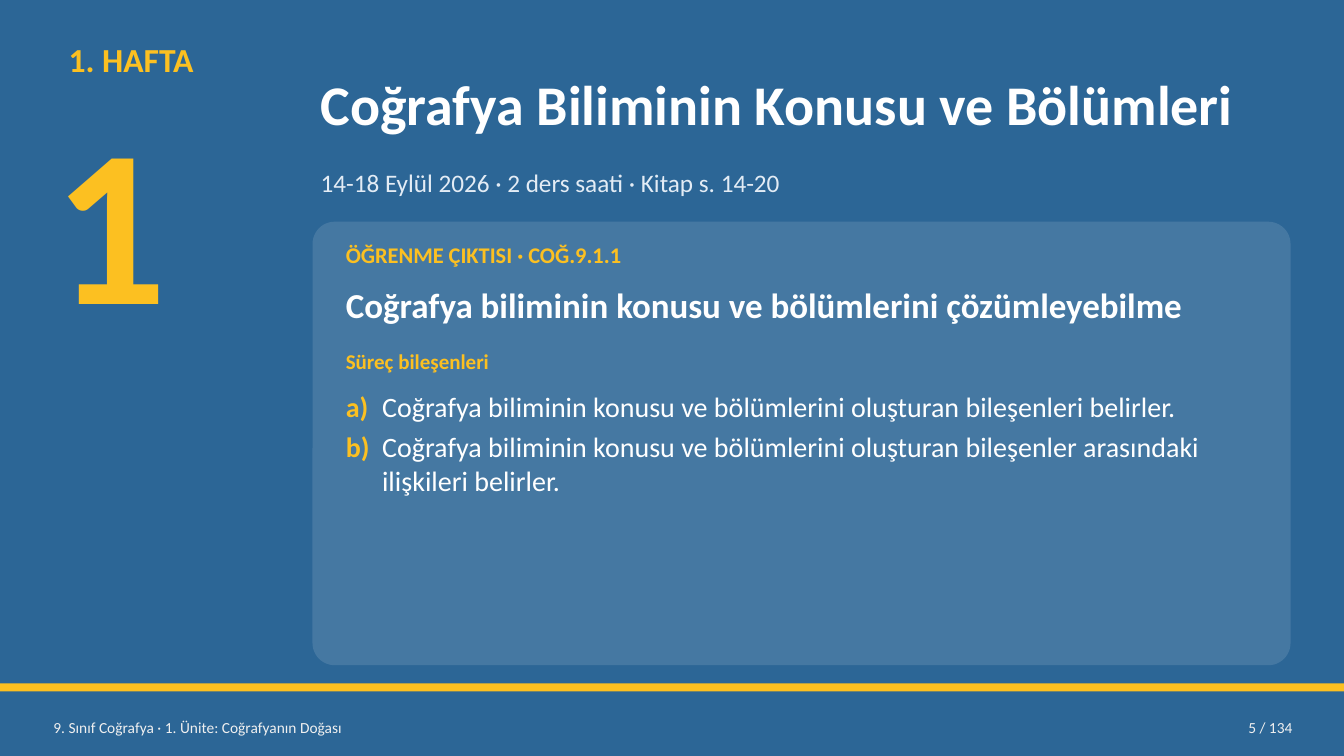
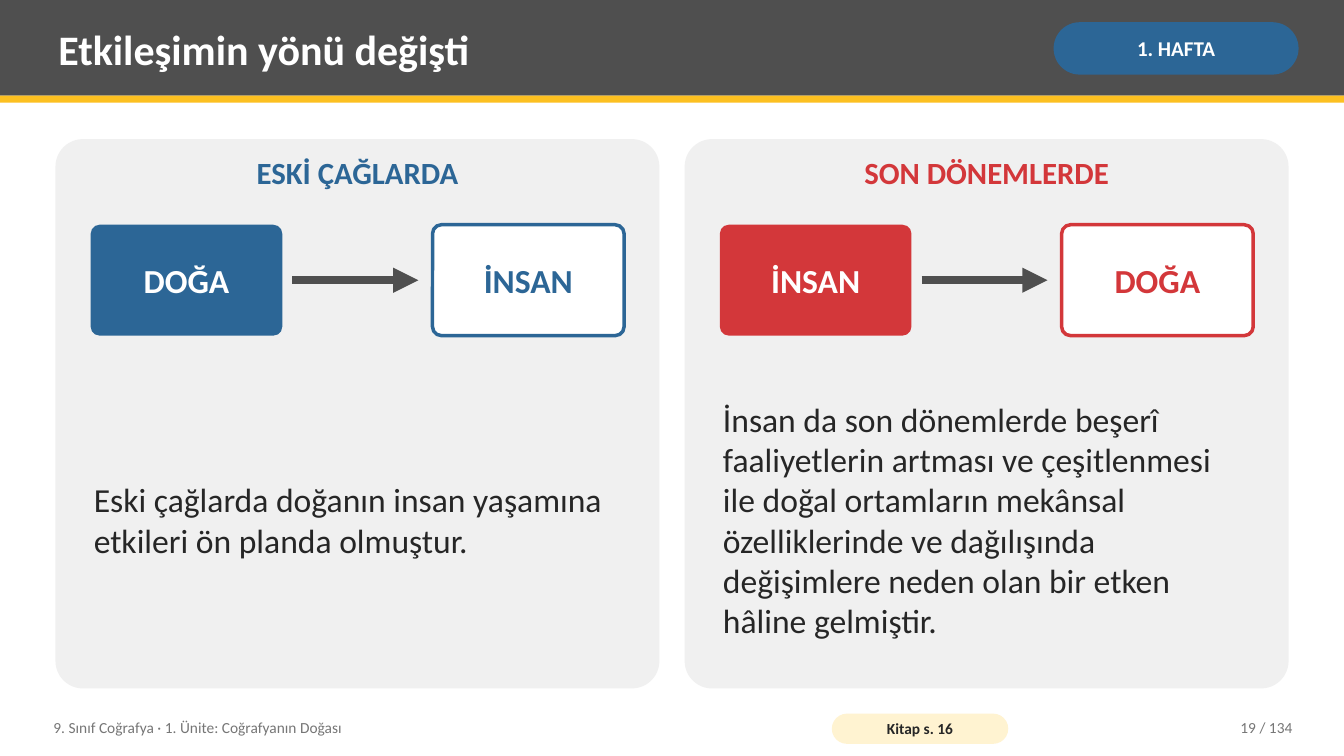
from dataclasses import dataclass
from typing import NamedTuple

from lxml.etree import SubElement
from pptx import Presentation
from pptx.dml.color import RGBColor
from pptx.enum.shapes import MSO_CONNECTOR, MSO_SHAPE
from pptx.enum.text import MSO_ANCHOR, MSO_AUTO_SIZE, PP_ALIGN
from pptx.oxml.ns import qn
from pptx.util import Inches, Pt


@dataclass(frozen=True)
class Theme:
    font: str = "Calibri"
    blue: RGBColor = RGBColor(0x2C, 0x66, 0x96)
    red: RGBColor = RGBColor(0xD3, 0x37, 0x3A)
    gold: RGBColor = RGBColor(0xFC, 0xC0, 0x21)
    cream: RGBColor = RGBColor(0xFF, 0xF3, 0xD1)
    white: RGBColor = RGBColor(0xFF, 0xFF, 0xFF)
    mist: RGBColor = RGBColor(0xE3, 0xEC, 0xF5)
    pale: RGBColor = RGBColor(0xF0, 0xF0, 0xF0)
    gray: RGBColor = RGBColor(0x76, 0x76, 0x76)
    slate: RGBColor = RGBColor(0x4F, 0x4F, 0x4F)
    ink: RGBColor = RGBColor(0x26, 0x26, 0x26)
    numeral: int = 160
    cover_title: int = 40
    title: int = 30
    outcome: int = 25
    body: int = 24
    heading: int = 22
    item: int = 20
    subtitle: int = 18
    label: int = 16
    small: int = 15
    footer: int = 11


class Box(NamedTuple):
    left: float
    top: float
    width: float
    height: float

    @property
    def right(self):
        return self.left + self.width

    def lengths(self):
        return [Inches(value) for value in self]


THEME = Theme()
PAGE = Box(0, 0, 13.33, 7.5)
PADDING = (0.08, 0.04)
UNIT = "9. Sınıf Coğrafya · 1. Ünite: Coğrafyanın Doğası"
PAGE_COUNT = 134


def prepare_frame(frame, padding, anchor):
    frame.word_wrap = True
    frame.auto_size = MSO_AUTO_SIZE.NONE
    frame.vertical_anchor = anchor
    frame.margin_left = frame.margin_right = Inches(padding[0])
    frame.margin_top = frame.margin_bottom = Inches(padding[1])


def write(frame, text, size, color, bold=False, align=PP_ALIGN.LEFT,
          anchor=MSO_ANCHOR.TOP, padding=PADDING):
    prepare_frame(frame, padding, anchor)
    para = frame.paragraphs[0]
    para.text = text
    para.alignment = align
    para.font.name = THEME.font
    para.font.size = Pt(size)
    para.font.bold = bold
    para.font.color.rgb = color


def add_text(page, box, text, size, color, **style):
    shape = page.shapes.add_textbox(*box.lengths())
    write(shape.text_frame, text, size, color, **style)


def add_block(page, box, fill, rounding=None, outline=None):
    """Add a filled rectangle, rounded when a rounding is given."""
    kind = MSO_SHAPE.RECTANGLE if rounding is None else MSO_SHAPE.ROUNDED_RECTANGLE
    shape = page.shapes.add_shape(kind, *box.lengths())
    if rounding is not None:
        shape.adjustments[0] = rounding
    shape.shadow.inherit = False
    shape.fill.solid()
    shape.fill.fore_color.rgb = fill
    if outline is None:
        shape.line.fill.background()
    else:
        shape.line.color.rgb = outline
        shape.line.width = Pt(2.5)
    return shape


def add_label(page, box, text, size, color, fill, rounding, padding, outline=None):
    shape = add_block(page, box, fill, rounding, outline)
    write(shape.text_frame, text, size, color, bold=True, align=PP_ALIGN.CENTER,
          anchor=MSO_ANCHOR.MIDDLE, padding=padding)


def add_arrow(page, start, end, height):
    arrow = page.shapes.add_connector(
        MSO_CONNECTOR.STRAIGHT, Inches(start), Inches(height), Inches(end), Inches(height))
    arrow.line.color.rgb = THEME.slate
    arrow.line.width = Pt(6)
    properties = arrow._element.spPr
    SubElement(properties.find(qn("a:ln")), qn("a:tailEnd"), type="triangle")
    SubElement(properties, qn("a:effectLst"))


def add_page(deck):
    return deck.slides.add_slide(deck.slide_layouts[5])


def place_title(page, box, text, size):
    """Format the title placeholder and bring it in front of the band."""
    title = page.shapes.title
    title.left, title.top, title.width, title.height = box.lengths()
    write(title.text_frame, text, size, THEME.white, bold=True, anchor=MSO_ANCHOR.MIDDLE)
    title._element.getparent().append(title._element)


def add_footer(page, number, color):
    add_text(page, Box(0.45, 7.04, 7.6, 0.36), UNIT, THEME.footer, color,
             anchor=MSO_ANCHOR.MIDDLE)
    add_text(page, Box(11.3, 7.04, 1.6, 0.36), f"{number} / {PAGE_COUNT}", THEME.footer,
             color, align=PP_ALIGN.RIGHT, anchor=MSO_ANCHOR.MIDDLE)


def add_components(page, box, components):
    """List lettered items with a hanging indent."""
    frame = page.shapes.add_textbox(*box.lengths()).text_frame
    prepare_frame(frame, PADDING, MSO_ANCHOR.TOP)
    for index, (letter, text) in enumerate(components):
        para = frame.paragraphs[0] if index == 0 else frame.add_paragraph()
        hanging = Inches(0.36)
        properties = para._p.get_or_add_pPr()
        properties.set("marL", str(hanging))
        properties.set("indent", str(-hanging))
        para.space_after = Pt(5)
        para.font.name = THEME.font
        para.font.size = Pt(THEME.item)
        for content, color, bold in ((f"{letter})\t", THEME.gold, True),
                                     (text, THEME.white, False)):
            span = para.add_run()
            span.text = content
            span.font.bold = bold
            span.font.color.rgb = color


def add_outcome_card(page, box, code, outcome, components):
    card = add_block(page, box, THEME.white, 0.05)
    color = card._element.spPr.find(f"{qn('a:solidFill')}/{qn('a:srgbClr')}")
    SubElement(color, qn("a:alpha"), val="12000")

    def row(offset, height):
        return Box(box.left + 0.25, box.top + offset, box.width - 0.5, height)

    add_text(page, row(0.15, 0.4), code, THEME.label, THEME.gold, bold=True)
    add_text(page, row(0.57, 0.53), outcome, THEME.outcome, THEME.white, bold=True)
    add_text(page, row(1.22, 0.38), "Süreç bileşenleri", THEME.small, THEME.gold, bold=True)
    add_components(page, row(1.62, 2.66), components)


def add_week_page(deck, number, week, title, subtitle, code, outcome, components):
    page = add_page(deck)
    page.background.fill.solid()
    page.background.fill.fore_color.rgb = THEME.blue
    add_block(page, Box(0, 6.78, PAGE.width, 0.08), THEME.gold)
    add_text(page, Box(0.6, 0.35, 2.6, 0.55), f"{week}. HAFTA", THEME.body, THEME.gold,
             bold=True)
    add_text(page, Box(0.45, 0.8, 2.6, 2.75), str(week), THEME.numeral, THEME.gold,
             bold=True, padding=(0.08, 0))
    place_title(page, Box(3.1, 0.45, 9.7, 1.15), title, THEME.cover_title)
    add_text(page, Box(3.1, 1.62, 9.7, 0.45), subtitle, THEME.subtitle, THEME.mist)
    add_outcome_card(page, Box(3.1, 2.2, 9.7, 4.4), code, outcome, components)
    add_footer(page, number, THEME.pale)


def add_era_panel(page, box, heading, source, target, text, accent):
    """Show which side acts on which, with an explanation below."""
    add_block(page, box, THEME.pale, 0.05)
    add_text(page, Box(box.left + 0.2, box.top + 0.1, box.width - 0.4, 0.55), heading,
             THEME.heading, accent, bold=True, align=PP_ALIGN.CENTER)
    inset, width, height = 0.35, 1.9, 1.1
    top = box.top + 0.85
    source_box = Box(box.left + inset, top, width, height)
    target_box = Box(box.right - inset - width, top, width, height)
    padding = (0.14, 0.08)
    add_label(page, source_box, source, THEME.body, THEME.white, accent, 0.08, padding)
    add_arrow(page, source_box.right + 0.1, target_box.left - 0.14, top + height / 2)
    add_label(page, target_box, target, THEME.body, accent, THEME.white, 0.08, padding,
              outline=accent)
    add_text(page, Box(box.left + 0.3, box.top + 2.25, box.width - 0.6, 3.05), text,
             THEME.body, THEME.ink, anchor=MSO_ANCHOR.MIDDLE)


def add_header(page, title, week):
    add_block(page, Box(0, 0, PAGE.width, 0.95), THEME.slate)
    add_block(page, Box(0, 0.95, PAGE.width, 0.07), THEME.gold)
    place_title(page, Box(0.5, 0.07, 9.75, 0.82), title, THEME.title)
    add_label(page, Box(10.45, 0.22, 2.43, 0.52), f"{week}. HAFTA", THEME.small,
              THEME.white, THEME.blue, 0.5, (0.05, 0.02))


def add_comparison_page(deck, number, week, title, reference, panels):
    page = add_page(deck)
    add_header(page, title, week)
    margin, gap = 0.55, 0.25
    width = (PAGE.width - 2 * margin - gap * (len(panels) - 1)) / len(panels)
    for index, panel in enumerate(panels):
        box = Box(margin + index * (width + gap), 1.38, width, 5.45)
        add_era_panel(page, box, *panel)
    add_footer(page, number, THEME.gray)
    add_label(page, Box(8.25, 7.08, 1.75, 0.3), reference, THEME.footer, THEME.ink,
              THEME.cream, 0.5, (0.04, 0))


def main():
    deck = Presentation()
    deck.slide_width, deck.slide_height = Inches(PAGE.width), Inches(PAGE.height)
    add_week_page(
        deck, 5, 1, "Coğrafya Biliminin Konusu ve Bölümleri",
        "14-18 Eylül 2026 · 2 ders saati · Kitap s. 14-20",
        "ÖĞRENME ÇIKTISI · COĞ.9.1.1",
        "Coğrafya biliminin konusu ve bölümlerini çözümleyebilme",
        [("a", "Coğrafya biliminin konusu ve bölümlerini oluşturan bileşenleri belirler."),
         ("b", "Coğrafya biliminin konusu ve bölümlerini oluşturan bileşenler arasındaki "
               "ilişkileri belirler.")])
    add_comparison_page(
        deck, 19, 1, "Etkileşimin yönü değişti", "Kitap s. 16",
        [("ESKİ ÇAĞLARDA", "DOĞA", "İNSAN",
          "Eski çağlarda doğanın insan yaşamına etkileri ön planda olmuştur.", THEME.blue),
         ("SON DÖNEMLERDE", "İNSAN", "DOĞA",
          "İnsan da son dönemlerde beşerî faaliyetlerin artması ve çeşitlenmesi ile doğal "
          "ortamların mekânsal özelliklerinde ve dağılışında değişimlere neden olan bir "
          "etken hâline gelmiştir.", THEME.red)])
    deck.save("out.pptx")


if __name__ == "__main__":
    main()
